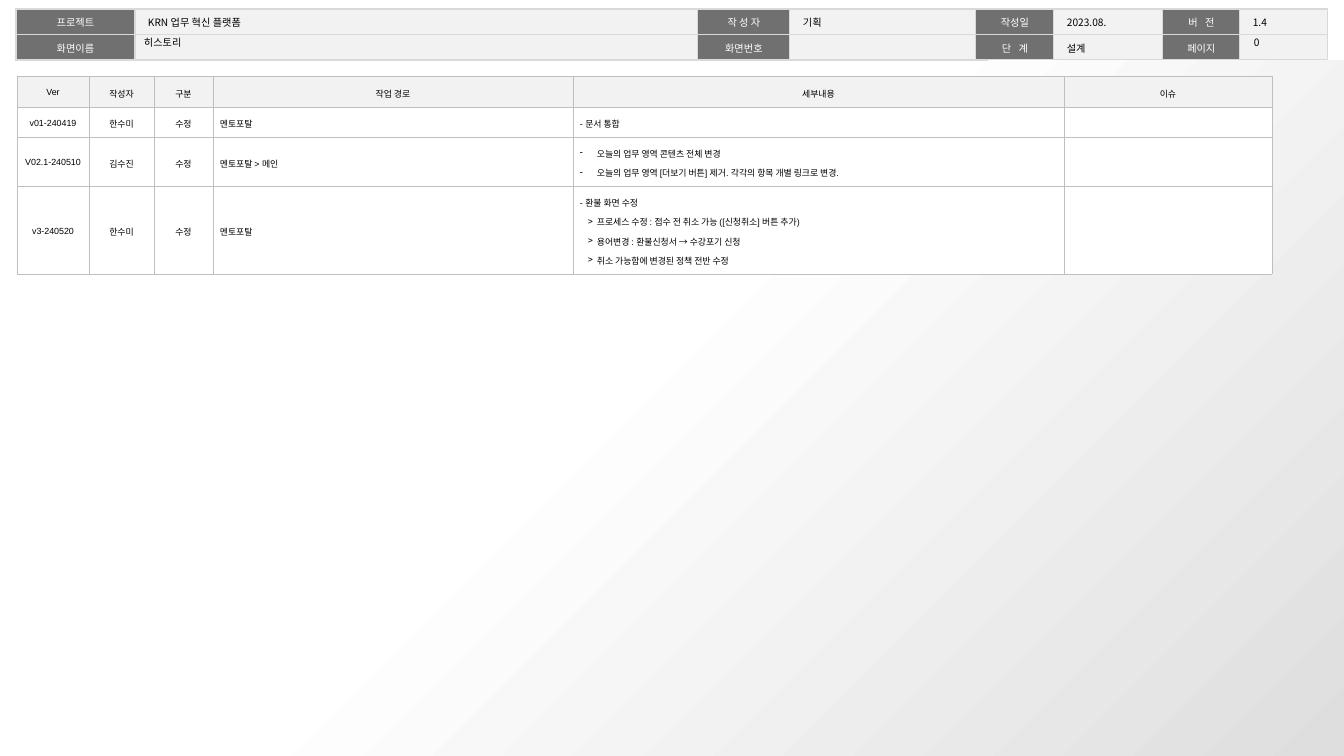
from pptx import Presentation
from pptx.dml.color import RGBColor
from pptx.enum.shapes import MSO_SHAPE
from pptx.enum.text import MSO_ANCHOR, PP_ALIGN
from pptx.oxml.ns import qn
from pptx.util import Pt
from lxml.etree import SubElement

SCALE = 10000  # EMU per px
NOTO = "Noto Sans CJK KR"
COLORS = {
    "text": "000000",
    "white": "FFFFFF",
    "label": "707070",
    "pale": "F2F2F2",
    "shade": "DEDEDE",
    "rule": "D9D9D9",
    "grid": "BFBFBF",
}

HEAD = [
    ["프로젝트", "KRN 업무 혁신 플랫폼", "작 성 자", "기획",
     "작성일", "2023.08.", "버 전", "1.4"],
    ["화면이름", "", "화면번호", "", "단 계", "설계", "페이지", ""],
]
WIDE = {"버 전", "단 계"}

# A line is plain text or a (bullet, hanging px, text) tuple.
LOG = [
    ["Ver", "작성자", "구분", "작업 경로", "세부내용", "이슈"],
    ["v01-240419", "한수미", "수정", "멘토포탈", "- 문서 통합", ""],
    ["V02.1-240510", "김수진", "수정", "멘토포탈 > 메인", [
        ("-", 17, "오늘의 업무 영역 콘텐츠 전체 변경"),
        ("-", 17, "오늘의 업무 영역 [더보기 버튼] 제거. 각각의 항목 개별 링크로 변경."),
    ], ""],
    ["v3-240520", "한수미", "수정", "멘토포탈", [
        "- 환불 화면 수정",
        (">", 9, "프로세스 수정 : 접수 전 취소 가능 ([신청취소] 버튼 추가)"),
        (">", 9, "용어변경 : 환불신청서 → 수강포기 신청"),
        (">", 9, "취소 가능함에 변경된 정책 전반 수정"),
    ], ""],
]


def px(*values):
    return [value * SCALE for value in values]


def rgb(name):
    return RGBColor.from_string(COLORS[name])


def write(frame, lines, size=8, font=NOTO, color="text", align=PP_ALIGN.LEFT,
          leading=None, spread=0):
    """Fill a text frame; spread is extra letter spacing in points."""
    for i, line in enumerate(lines if isinstance(lines, list) else [lines]):
        para = frame.add_paragraph() if i else frame.paragraphs[0]
        para.alignment = align
        para.line_spacing = leading
        if isinstance(line, tuple):
            mark, hang, line = line
            props = para._p.get_or_add_pPr()
            props.set("marL", str(17 * SCALE))
            props.set("indent", str(-hang * SCALE))
            SubElement(props, qn("a:buChar")).set("char", mark)
        if not line:
            para._p.get_or_add_endParaRPr().set("sz", str(size * 100))
            continue
        run = para.add_run()
        run.text = line
        run.font.size = Pt(size)
        run.font.name = font
        run.font.color.rgb = rgb(color)
        props = run._r.get_or_add_rPr()
        SubElement(props, qn("a:ea")).set("typeface", NOTO)
        if spread:
            props.set("spc", str(spread * 100))


def set_edges(cell, color, width):
    props = cell._tc.get_or_add_tcPr()
    for side in ("lnL", "lnR", "lnT", "lnB"):
        edge = SubElement(props, qn(f"a:{side}"), w=str(Pt(width)))
        fill = SubElement(edge, qn("a:solidFill"))
        SubElement(fill, qn("a:srgbClr")).set("val", COLORS[color])


def add_grid(slide, left, top, cols, rows):
    shape = slide.shapes.add_table(
        len(rows), len(cols), *px(left, top, sum(cols), sum(rows)))
    table = shape.table
    table.first_row = table.horz_banding = False
    for col, width in zip(table.columns, cols):
        col.width = width * SCALE
    for row, height in zip(table.rows, rows):
        row.height = height * SCALE
    return table


def set_cell(cell, lines, fill, edge, inset, anchor, **style):
    set_edges(cell, *edge)
    cell.fill.solid()
    cell.fill.fore_color.rgb = rgb(fill)
    (cell.margin_left, cell.margin_top,
     cell.margin_right, cell.margin_bottom) = px(*inset)
    cell.vertical_anchor = anchor
    write(cell.text_frame, lines, **style)


def add_head(slide):
    table = add_grid(slide, 16, 9, [119, 563, 92, 186, 78, 109, 77, 88],
                     [25, 25])
    for r, row in enumerate(HEAD):
        for c, text in enumerate(row):
            label = c % 2 == 0
            set_cell(table.cell(r, c), text, "label" if label else "pale",
                     ("rule", 1), (13, 5, 13, 5), MSO_ANCHOR.TOP,
                     color="white" if label else "text",
                     align=PP_ALIGN.CENTER if label else PP_ALIGN.LEFT,
                     leading=1.05, spread=2 if text in WIDE else 0)


def add_log(slide):
    table = add_grid(slide, 17, 76, [72, 65, 59, 360, 491, 208],
                     [31, 30, 49, 88])
    for r, row in enumerate(LOG):
        for c, lines in enumerate(row):
            mid = r == 0 or c < 3
            set_cell(table.cell(r, c), lines, "white" if r else "pale",
                     ("grid", 0.25), (7, 4, 7, 7), MSO_ANCHOR.MIDDLE,
                     size=7, font="Arial", leading=1.5,
                     align=PP_ALIGN.CENTER if mid else PP_ALIGN.LEFT)


def add_back(slide):
    back = slide.shapes.add_shape(MSO_SHAPE.RECTANGLE, *px(0, 61, 1344, 695))
    back.shadow.inherit = False
    back.line.fill.background()
    back.fill.gradient()
    back.fill.gradient_angle = 315
    stops = zip(back.fill.gradient_stops, [(0.45, "white"), (1, "shade")])
    for stop, (place, color) in stops:
        stop.position = place
        stop.color.rgb = rgb(color)


def add_text(slide, text, left, top, width, height, inset):
    frame = slide.shapes.add_textbox(*px(left, top, width, height)).text_frame
    frame.word_wrap = True
    frame.vertical_anchor = MSO_ANCHOR.MIDDLE
    frame.margin_left = frame.margin_right = inset * SCALE
    write(frame, text)


def main():
    deck = Presentation()
    deck.slide_width, deck.slide_height = px(1344, 756)
    slide = deck.slides.add_slide(deck.slide_layouts[6])
    add_head(slide)
    add_back(slide)
    add_text(slide, "0", 1245, 35, 66, 15, inset=9)
    add_text(slide, "히스토리", 134, 35, 496, 15, inset=10)
    add_log(slide)
    deck.save("out.pptx")


if __name__ == "__main__":
    main()
